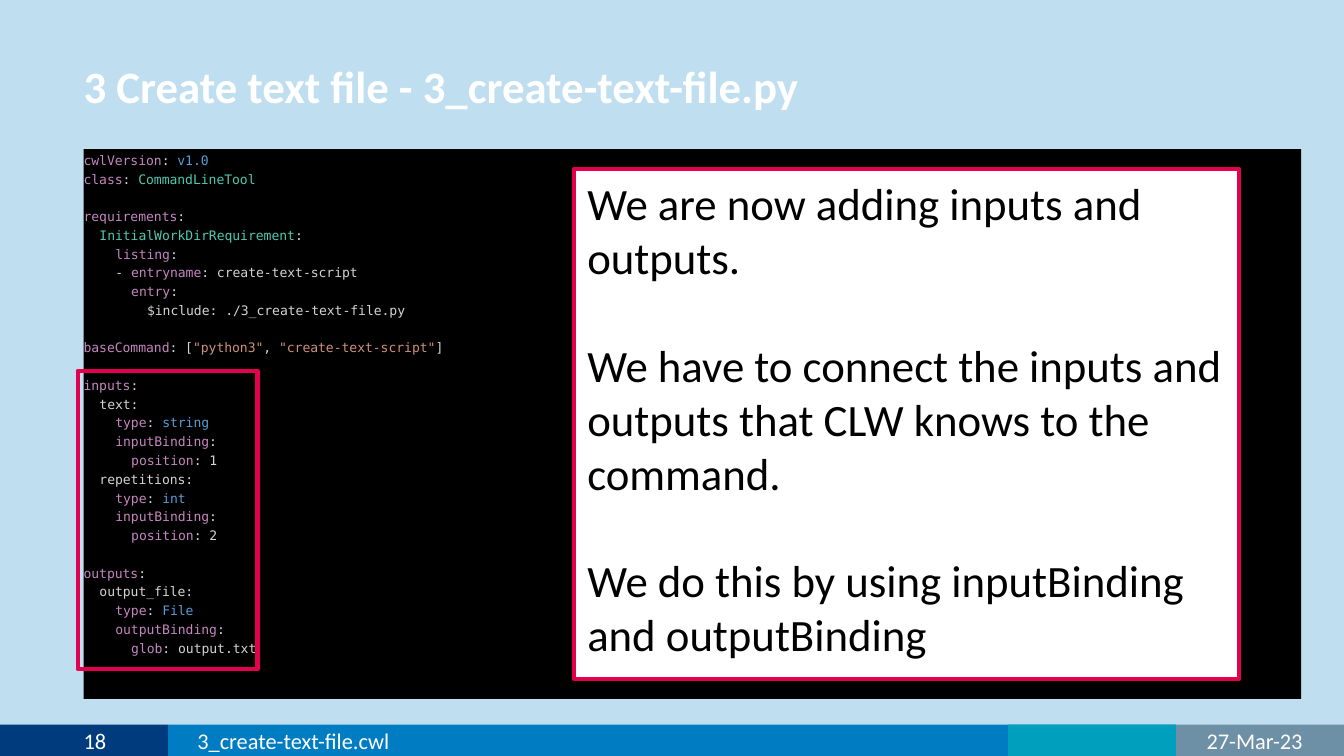
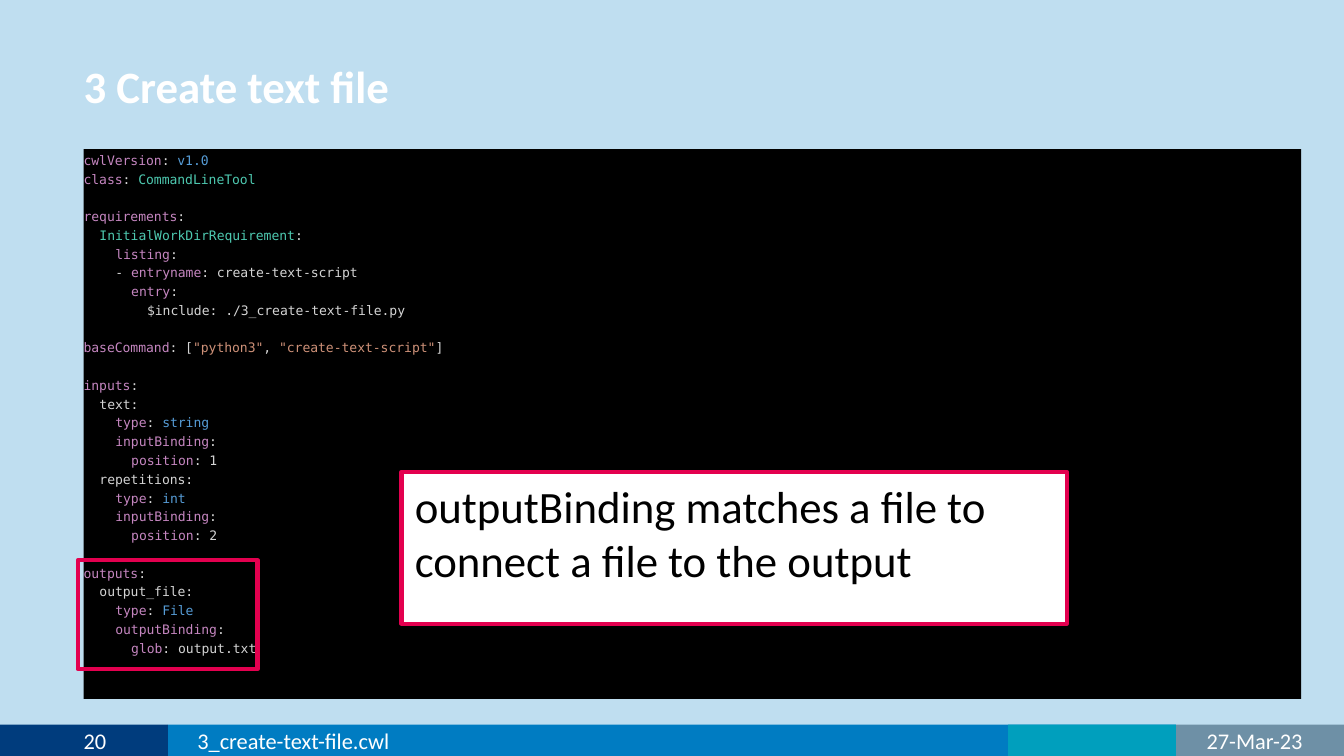
"""Build two slides that explain inputs and outputs of a CWL tool."""
from itertools import groupby

from lxml.etree import SubElement
from pptx import Presentation
from pptx.dml.color import RGBColor
from pptx.enum.shapes import MSO_SHAPE
from pptx.enum.text import MSO_ANCHOR, MSO_AUTO_SIZE, PP_ALIGN
from pptx.oxml.ns import qn
from pptx.util import Cm, Pt

SKY, WHITE, BLACK, ACCENT = "BFDEF0", "FFFFFF", "000000", "E3004F"
SLIDE_WIDTH, SLIDE_HEIGHT = 25.4, 14.29
EIGHTH = SLIDE_WIDTH / 8
MARGIN = 1.58
BANDS = [(7, 1, "6E90A6"), (1, 6, "007CC2"), (0, 1, "003C7D"), (6, 1, "009FBD")]

PLAIN, STRING = "D4D4D4", "CE9178"
SYNTAX = {
    "C586C0": "cwlVersion class requirements listing entryname entry baseCommand "
              "inputs type inputBinding position outputs outputBinding glob",
    "569CD6": "v1.0 string int File",
    "4EC9B0": "CommandLineTool InitialWorkDirRequirement",
}
WORD_COLOURS = {word: colour for colour, words in SYNTAX.items() for word in words.split()}

WORKFLOW = """\
cwlVersion: v1.0
class: CommandLineTool

requirements:
  InitialWorkDirRequirement:
    listing:
    - entryname: create-text-script
      entry:
        $include: ./3_create-text-file.py

baseCommand: ["python3", "create-text-script"]

inputs:
  text:
    type: string
    inputBinding:
      position: 1
  repetitions:
    type: int
    inputBinding:
      position: 2

outputs:
  output_file:
    type: File
    outputBinding:
      glob: output.txt"""


def rgb(colour):
    """Turn a hex string into a colour."""
    return RGBColor.from_string(colour)


def highlight(line):
    """Split a code line into (text, colour) runs."""
    def colour_of(token):
        """Pick the syntax colour of a token."""
        return STRING if token.startswith('"') else WORD_COLOURS.get(token, PLAIN)

    tokens = ["".join(chars) for _, chars in
              groupby(line, lambda char: char.isalnum() or char in '"_.-/$')]
    return [("".join(group), colour) for colour, group in groupby(tokens, colour_of)]


def write(shape, paragraphs, size=12, colour=WHITE, font="Calibri", bold=False,
          align=PP_ALIGN.LEFT, anchor=MSO_ANCHOR.TOP, insets=(0, 0, 0, 0),
          line_spacing=None, gap=0):
    """Fill a shape with paragraphs, each a string or a list of (text, colour) runs."""
    frame = shape.text_frame
    frame.word_wrap = True
    frame.auto_size = MSO_AUTO_SIZE.NONE
    frame.vertical_anchor = anchor
    (frame.margin_left, frame.margin_top,
     frame.margin_right, frame.margin_bottom) = map(Cm, insets)
    for index, content in enumerate(paragraphs):
        paragraph = frame.add_paragraph() if index else frame.paragraphs[0]
        paragraph.alignment = align
        paragraph.line_spacing = line_spacing
        paragraph.space_before = Pt(gap if index else 0)
        runs = [(content, colour)] if isinstance(content, str) else content
        for text, run_colour in runs:
            run = paragraph.add_run()
            run.text = text
            run.font.name, run.font.size, run.font.bold = font, Pt(size), bold
            run.font.color.rgb = rgb(run_colour)


class Deck:
    """Hold the presentation style and the current slide."""

    def __init__(self):
        """Set the slide size and the background."""
        self.presentation = Presentation()
        self.presentation.slide_width = Cm(SLIDE_WIDTH)
        self.presentation.slide_height = Cm(SLIDE_HEIGHT)
        self.master = self.presentation.slide_master
        self.master.background.fill.solid()
        self.master.background.fill.fore_color.rgb = rgb(SKY)
        self.slide = None

    def add_slide(self, title, number):
        """Start a slide with its title, code and footer."""
        self.slide = self.presentation.slides.add_slide(self.presentation.slide_layouts[1])
        if len(self.presentation.slides) == 1:
            self.master_bands()
        heading = self.place(self.slide.shapes.title, MARGIN, 0, 18.42, 2.36)
        write(heading, [title], size=24, bold=True, anchor=MSO_ANCHOR.BOTTOM,
              insets=(0, 0, 0, 0.2), line_spacing=0.96)
        self.code(WORKFLOW)
        self.footer(number, MARGIN, 1.42)
        self.footer("3_create-text-file.cwl", 3.73, 15.32)
        self.footer("27-Mar-23", 22.23, 2.39, align=PP_ALIGN.RIGHT)

    def place(self, shape, left, top, width, height):
        """Move and size a shape in centimetres."""
        shape.left, shape.top, shape.width, shape.height = map(Cm, (left, top, width, height))
        return shape

    def box(self, left, top, width, height, fill=None, line=None):
        """Add a rectangle with an optional fill and outline."""
        rectangle = self.slide.shapes.add_shape(
            MSO_SHAPE.RECTANGLE, *map(Cm, (left, top, width, height)))
        rectangle.shadow.inherit = False
        for part, colour in ((rectangle.fill, fill), (rectangle.line.fill, line)):
            if colour:
                part.solid()
                part.fore_color.rgb = rgb(colour)
            else:
                part.background()
        if line:
            rectangle.line.width = Pt(2.25)
        return rectangle

    def master_bands(self):
        """Draw the footer bands and move them to the slide master."""
        for index, (start, span, colour) in enumerate(BANDS):
            band = self.box(start * EIGHTH, 13.7, span * EIGHTH, 0.6, fill=colour).element
            band.nvSpPr.cNvPr.set("id", str(20 + index))
            self.master.element.cSld.spTree.append(band)

    def code(self, source):
        """Show highlighted code in the body placeholder."""
        listing = self.place(self.slide.placeholders[1], MARGIN, 2.82, 23.01, 10.39)
        listing.fill.solid()
        listing.fill.fore_color.rgb = rgb(BLACK)
        blocks = [block.splitlines() for block in source.split("\n\n")]
        lines = [(line, index == 0) for block in blocks for index, line in enumerate(block)]
        write(listing, [highlight(line.lstrip()) for line, _ in lines], size=7,
              font="DejaVu Sans Mono", line_spacing=1.2)
        for position, (line, opens_block) in enumerate(lines):
            paragraph = listing.text_frame.paragraphs[position]
            if opens_block and position:
                paragraph.space_before = Pt(10)
            depth = (len(line) - len(line.lstrip())) // 2
            properties = paragraph._p.get_or_add_pPr()
            properties.set("marL", str(Cm(0.3 * depth)))
            properties.set("indent", "0")
            SubElement(properties, qn("a:buNone"))

    def footer(self, text, left, width, **style):
        """Add one text to the footer bands."""
        label = self.slide.shapes.add_textbox(*map(Cm, (left, 13.67, width, 0.64)))
        write(label, [text], anchor=MSO_ANCHOR.MIDDLE, **style)

    def highlight_frame(self, top):
        """Frame the code lines from the given height to the end."""
        self.box(1.47, top, 3.4, 12.65 - top, line=ACCENT)

    def callout(self, left, top, height, paragraphs):
        """Add a white explanation box."""
        note = self.box(left, top, 12.57, height, fill=WHITE, line=ACCENT)
        write(note, paragraphs, size=24, colour=BLACK,
              insets=(0.25, 0.13, 0.25, 0.13), gap=29)


def main():
    """Build and save the slides."""
    deck = Deck()
    deck.add_slide("3 Create text file - 3_create-text-file.py", "18")
    deck.highlight_frame(7.01)
    deck.callout(10.85, 3.2, 9.63, [
        "We are now adding inputs and outputs.",
        "We have to connect the inputs and outputs that CLW knows to the command.",
        "We do this by using inputBinding and outputBinding",
    ])
    deck.add_slide("3 Create text file", "20")
    deck.highlight_frame(10.59)
    deck.callout(7.59, 8.92, 2.87,
                 ["outputBinding matches a file to connect a file to the output"])
    deck.presentation.save("out.pptx")


if __name__ == "__main__":
    main()
